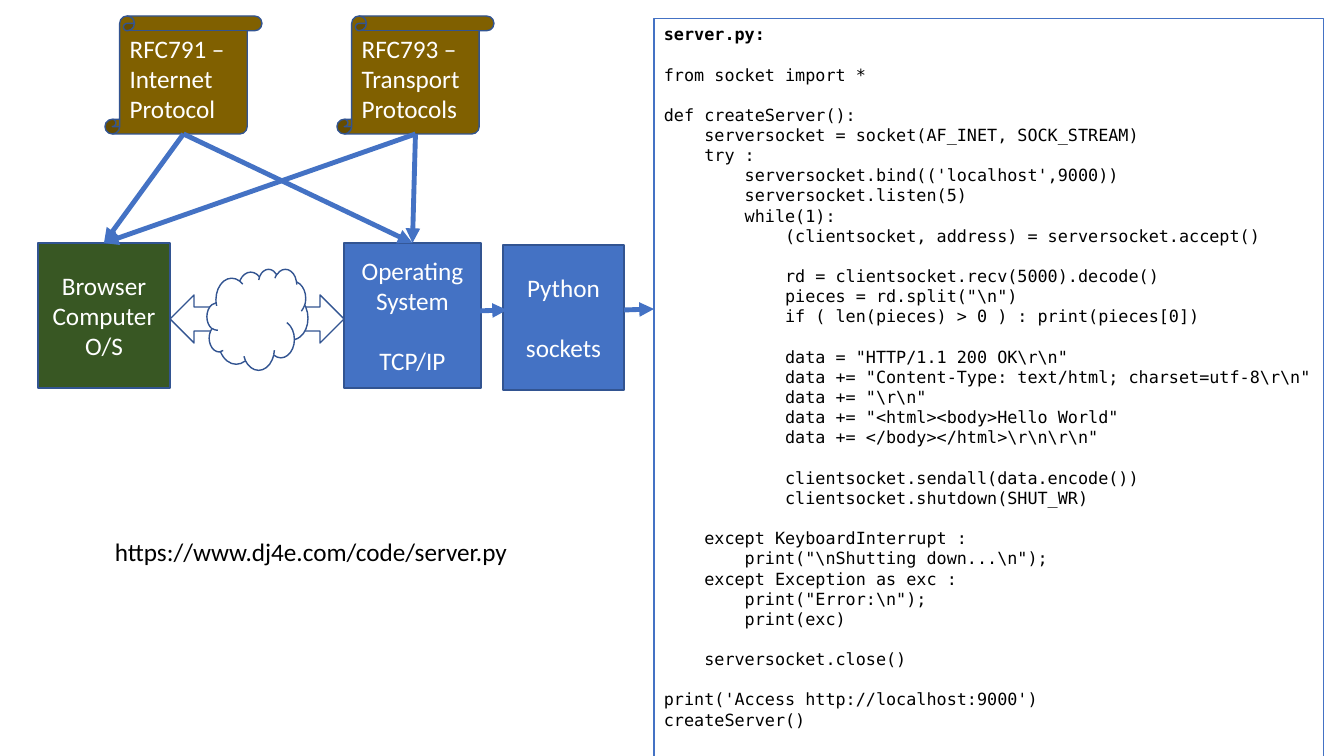
"""Build a slide on a Python socket server and the network layers beneath it."""
from lxml import etree
from pptx import Presentation
from pptx.dml.color import RGBColor
from pptx.enum.shapes import MSO_CONNECTOR, MSO_SHAPE as SHAPE
from pptx.enum.text import MSO_ANCHOR, PP_ALIGN
from pptx.oxml.ns import qn
from pptx.util import Emu, Pt

SCALE = 914400 / 100.8
BLUE, GREEN, BROWN = "4472C4", "385723", "806000"
WHITE, BLACK, OUTLINE = "FFFFFF", "000000", "325491"
SANS, MONO = "Calibri", "DejaVu Sans Mono"
LABEL_GAP, CODE_GAP = 21.5, 14.4

HOSTS = {
    "system": ((344, 243, 137, 145), BLUE, ["Operating", "System", "", "TCP/IP"]),
    "browser": ((38, 243, 132, 145), GREEN, ["Browser", "Computer", "O/S"]),
    "python": ((503, 245, 121, 145), BLUE, ["Python", "", "sockets"]),
}
STANDARDS = [
    ((337, 16, 157, 118), "RFC793 – Transport Protocols"),
    ((105, 16, 157, 118), "RFC791 – Internet Protocol"),
]
NETWORK = [
    (SHAPE.LEFT_RIGHT_ARROW, (170, 295, 174, 48)),
    (SHAPE.CLOUD, (207, 269, 101, 101)),
]
CALLS = [((624, 310), (654, 309)), ((477, 311), (507, 310))]
URL = "https://www.dj4e.com/code/server.py"
URL_BOX = (105, 531, 417, 40)
CODE_BOX = (654, 19, 670, 743)
CODE = [
    "server.py:",
    "",
    "from socket import *",
    "",
    "def createServer():",
    "    serversocket = socket(AF_INET, SOCK_STREAM)",
    "    try :",
    "        serversocket.bind(('localhost',9000))",
    "        serversocket.listen(5)",
    "        while(1):",
    "            (clientsocket, address) = serversocket.accept()",
    "",
    "            rd = clientsocket.recv(5000).decode()",
    r'            pieces = rd.split("\n")',
    "            if ( len(pieces) > 0 ) : print(pieces[0])",
    "",
    r'            data = "HTTP/1.1 200 OK\r\n"',
    r'            data += "Content-Type: text/html; charset=utf-8\r\n"',
    r'            data += "\r\n"',
    '            data += "<html><body>Hello World"',
    r'            data += </body></html>\r\n\r\n"',
    "",
    "            clientsocket.sendall(data.encode())",
    "            clientsocket.shutdown(SHUT_WR)",
    "",
    "    except KeyboardInterrupt :",
    r'        print("\nShutting down...\n");',
    "    except Exception as exc :",
    r'        print("Error:\n");',
    "        print(exc)",
    "",
    "    serversocket.close()",
    "",
    "print('Access http://localhost:9000')",
    "createServer()",
]


def px(*lengths):
    return [Emu(round(length * SCALE)) for length in lengths]


def color(code):
    return RGBColor.from_string(code)


def write(frame, lines, font, size, ink, gap, align=PP_ALIGN.LEFT):
    """Add one paragraph per line, turning empty lines into space before the next."""
    space, paragraph = 0, None
    for line in lines:
        if not line:
            space = gap
            continue
        paragraph = frame.add_paragraph() if paragraph else frame.paragraphs[0]
        paragraph.alignment = align
        paragraph.space_before = Pt(space)
        run = paragraph.add_run()
        run.text = line
        run.font.name, run.font.size = font, Pt(size)
        run.font.color.rgb = color(ink)
        space = 0


def add_part(slide, kind, box, fill):
    part = slide.shapes.add_shape(kind, *px(*box))
    part.shadow.inherit = False
    part.fill.solid()
    part.fill.fore_color.rgb = color(fill)
    part.line.color.rgb = color(OUTLINE)
    part.line.width = Pt(1)
    part.text_frame.word_wrap = True
    part.text_frame.vertical_anchor = MSO_ANCHOR.MIDDLE
    return part


def add_arrow(slide, start, end):
    arrow = slide.shapes.add_connector(MSO_CONNECTOR.STRAIGHT, *px(*start, *end))
    arrow.line.color.rgb = color(BLUE)
    arrow.line.width = Pt(3.5)
    properties = arrow.element.spPr
    etree.SubElement(properties.find(qn("a:ln")), qn("a:tailEnd"), type="triangle")
    etree.SubElement(properties, qn("a:effectLst"))
    return arrow


def add_text(slide, box, lines, font, size, gap, wrap):
    text = slide.shapes.add_textbox(*px(*box))
    text.text_frame.word_wrap = wrap
    write(text.text_frame, lines, font, size, BLACK, gap)
    return text


def main():
    deck = Presentation()
    deck.slide_width, deck.slide_height = px(1344, 756)
    slide = deck.slides.add_slide(deck.slide_layouts[6])

    hosts = {}
    for name, (box, fill, label) in HOSTS.items():
        hosts[name] = add_part(slide, SHAPE.RECTANGLE, box, fill)
        write(hosts[name].text_frame, label, SANS, 18, WHITE, LABEL_GAP, PP_ALIGN.CENTER)

    code = add_text(slide, CODE_BOX, CODE, MONO, 12, CODE_GAP, True)
    code.text_frame.paragraphs[0].runs[0].font.bold = True
    code.line.color.rgb = color(BLUE)
    code.line.width = Pt(0.75)

    for box, label in STANDARDS:
        scroll = add_part(slide, SHAPE.VERTICAL_SCROLL, box, BROWN)
        write(scroll.text_frame, [label], SANS, 18, WHITE, LABEL_GAP)
    for (left, top, width, height), _ in STANDARDS:
        foot = (left + width / 2, top + height)
        for name in ("system", "browser"):
            add_arrow(slide, foot, foot).end_connect(hosts[name], 0)

    for kind, box in NETWORK:
        add_part(slide, kind, box, WHITE)
    add_text(slide, URL_BOX, [URL], SANS, 18, LABEL_GAP, False)
    for start, end in CALLS:
        add_arrow(slide, start, end)

    deck.save("out.pptx")


if __name__ == "__main__":
    main()
